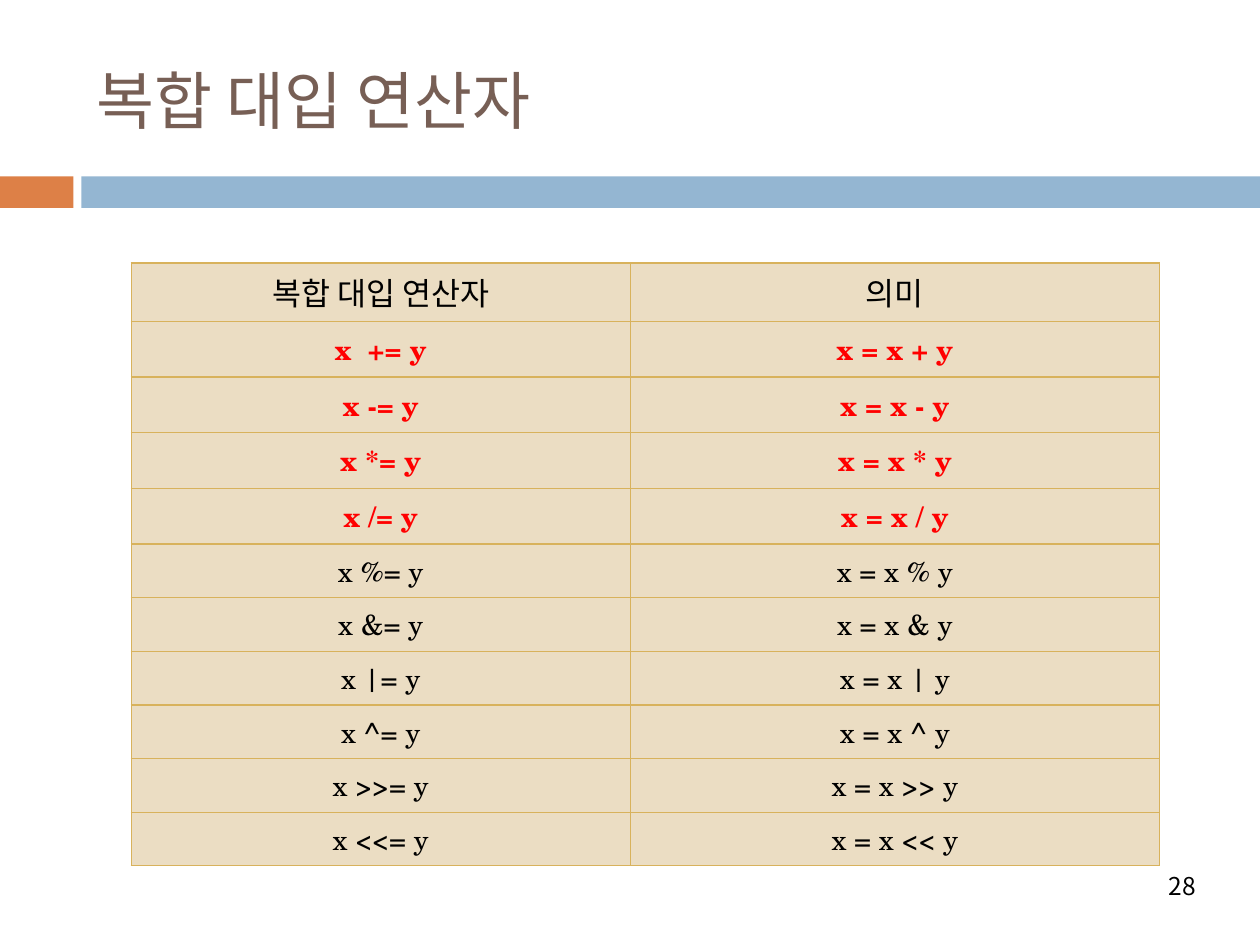
from dataclasses import dataclass

from lxml import etree
from pptx import Presentation
from pptx import oxml
from pptx.dml.color import RGBColor
from pptx.enum import shapes, text
from pptx.oxml import ns
from pptx.util import Pt


@dataclass(frozen=True)
class Theme:
    """Colours, fonts and type sizes of the slide."""
    brown: str = "775F55"
    orange: str = "DD8047"
    blue: str = "94B6D2"
    sand: str = "EBDDC3"
    gold: str = "D8B25C"
    red: str = "FF0000"
    black: str = "000000"
    sans: str = "Noto Sans CJK KR"
    serif: str = "TeX Gyre Schola"
    title: int = 36
    head: int = 18
    body: int = 16
    page: int = 14


THEME = Theme()
HEADS = ("복합 대입 연산자", "의미")
BASIC = [("x  += y", "x = x + y")] + [(f"x {op}= y", f"x = x {op} y") for op in "-*/"]
EXTRA = [(f"x {op}= y", f"x = x {op} y") for op in ("%", "&", "|", "^", ">>", "<<")]


def style(para, size, color, face, bold=False):
    """Set the font of a whole paragraph."""
    font = para.font
    font.size, font.bold, font.name = Pt(size), bold, face
    font.color.rgb = RGBColor.from_string(color)
    latin = para._p.pPr.find(".//" + ns.qn("a:latin"))
    asian = etree.Element(ns.qn("a:ea"), typeface=THEME.sans)
    latin.addnext(asian)


def add_bar(slide, left, width, color):
    """Draw one part of the band below the title."""
    bar = slide.shapes.add_shape(
        shapes.MSO_SHAPE.RECTANGLE, Pt(left), Pt(100.8), Pt(width), Pt(18))
    bar.fill.solid()
    bar.fill.fore_color.rgb = RGBColor.from_string(color)
    bar.line.fill.background()
    bar.shadow.inherit = False


def add_title(slide, words):
    """Place the slide title."""
    title = slide.shapes.title
    title.left, title.top, title.width, title.height = Pt(48.2), Pt(18), Pt(642.2), Pt(77.8)
    frame = title.text_frame
    frame.text = words
    frame.vertical_anchor = text.MSO_ANCHOR.MIDDLE
    para = frame.paragraphs[0]
    para.alignment = text.PP_ALIGN.LEFT
    style(para, THEME.title, THEME.brown, THEME.sans)


def add_edges(cell):
    """Draw the four borders of a cell."""
    props = cell._tc.get_or_add_tcPr()
    for spot, side in enumerate(("lnL", "lnR", "lnT", "lnB")):
        props.insert(spot, oxml.parse_xml(
            f'<a:{side} {ns.nsdecls("a")} w="{Pt(0.79)}"><a:solidFill>'
            f'<a:srgbClr val="{THEME.gold}"/></a:solidFill></a:{side}>'))


def fill_cell(cell, words, size, color, bold):
    """Write and format one table cell."""
    cell.text = words
    cell.vertical_anchor = text.MSO_ANCHOR.MIDDLE
    cell.fill.solid()
    cell.fill.fore_color.rgb = RGBColor.from_string(THEME.sand)
    para = cell.text_frame.paragraphs[0]
    para.alignment = text.PP_ALIGN.CENTER
    style(para, size, color, THEME.serif, bold)
    para._p.pPr.set("marL", str(Pt(27)))
    para._p.pPr.set("indent", str(Pt(-27)))
    add_edges(cell)


def add_grid(slide):
    """Build the table of operators."""
    rows = [(HEADS, 33.2, THEME.head, THEME.black, False)]
    rows += [(pair, 31.8, THEME.body, THEME.red, True) for pair in BASIC]
    rows += [(pair, 30.6, THEME.body, THEME.black, False) for pair in EXTRA]
    high = sum(row[1] for row in rows)
    table = slide.shapes.add_table(
        len(rows), 2, Pt(75), Pt(150.3), Pt(587.7), Pt(high)).table
    table.first_row = table.horz_banding = False
    for col, width in zip(table.columns, (285.1, 302.6)):
        col.width = Pt(width)
    for line, (pair, tall, size, color, bold) in zip(table.rows, rows):
        line.height = Pt(tall)
        for cell, words in zip(line.cells, pair):
            fill_cell(cell, words, size, color, bold)


def add_page(slide, words):
    """Place the page number."""
    box = slide.shapes.add_textbox(Pt(490.3), Pt(491.8), Pt(200.2), Pt(28.8))
    frame = box.text_frame
    frame.word_wrap = True
    frame.vertical_anchor = text.MSO_ANCHOR.MIDDLE
    frame.text = words
    para = frame.paragraphs[0]
    para.alignment = text.PP_ALIGN.RIGHT
    style(para, THEME.page, THEME.black, THEME.sans)


def main():
    """Build and save the slide."""
    deck = Presentation()
    deck.slide_width, deck.slide_height = Pt(720), Pt(540)
    slide = deck.slides.add_slide(deck.slide_layouts[5])
    add_bar(slide, 0, 42, THEME.orange)
    add_bar(slide, 46.5, 673.5, THEME.blue)
    add_title(slide, HEADS[0])
    add_grid(slide)
    add_page(slide, "28")
    deck.save("out.pptx")


if __name__ == "__main__":
    main()
